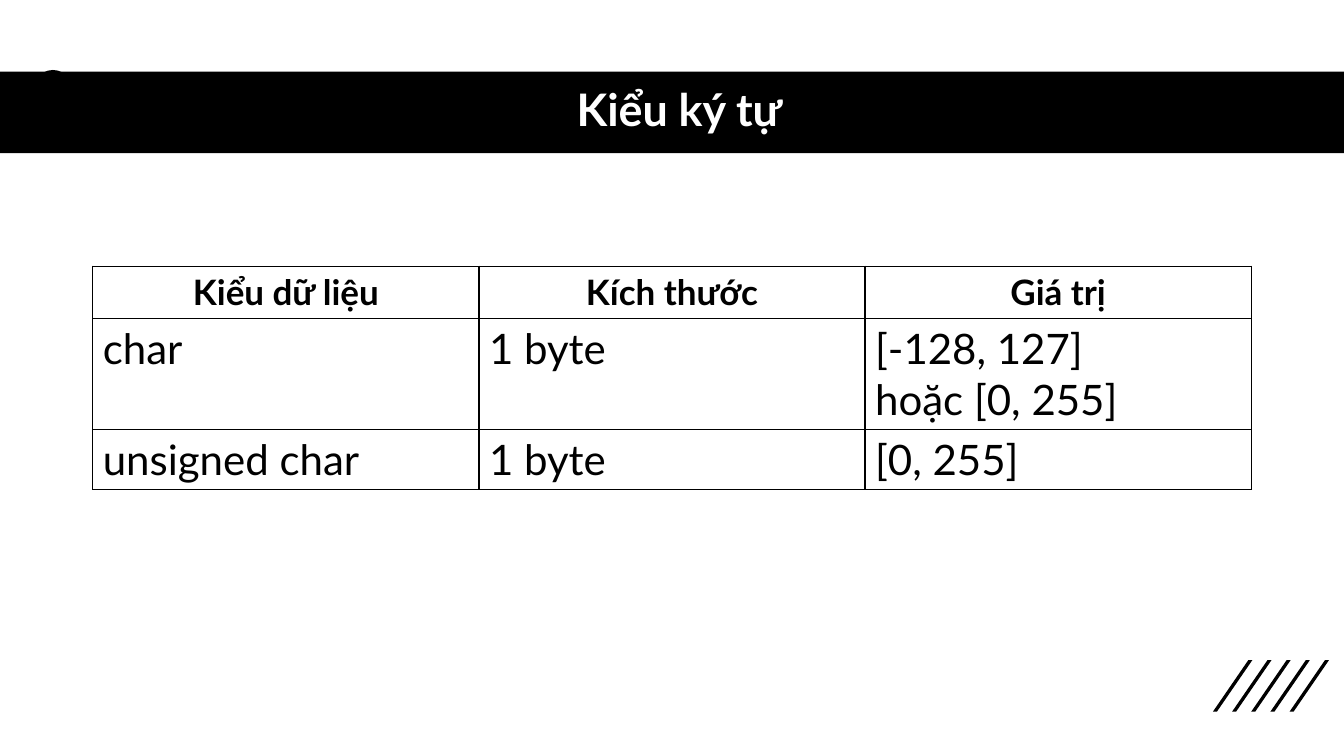
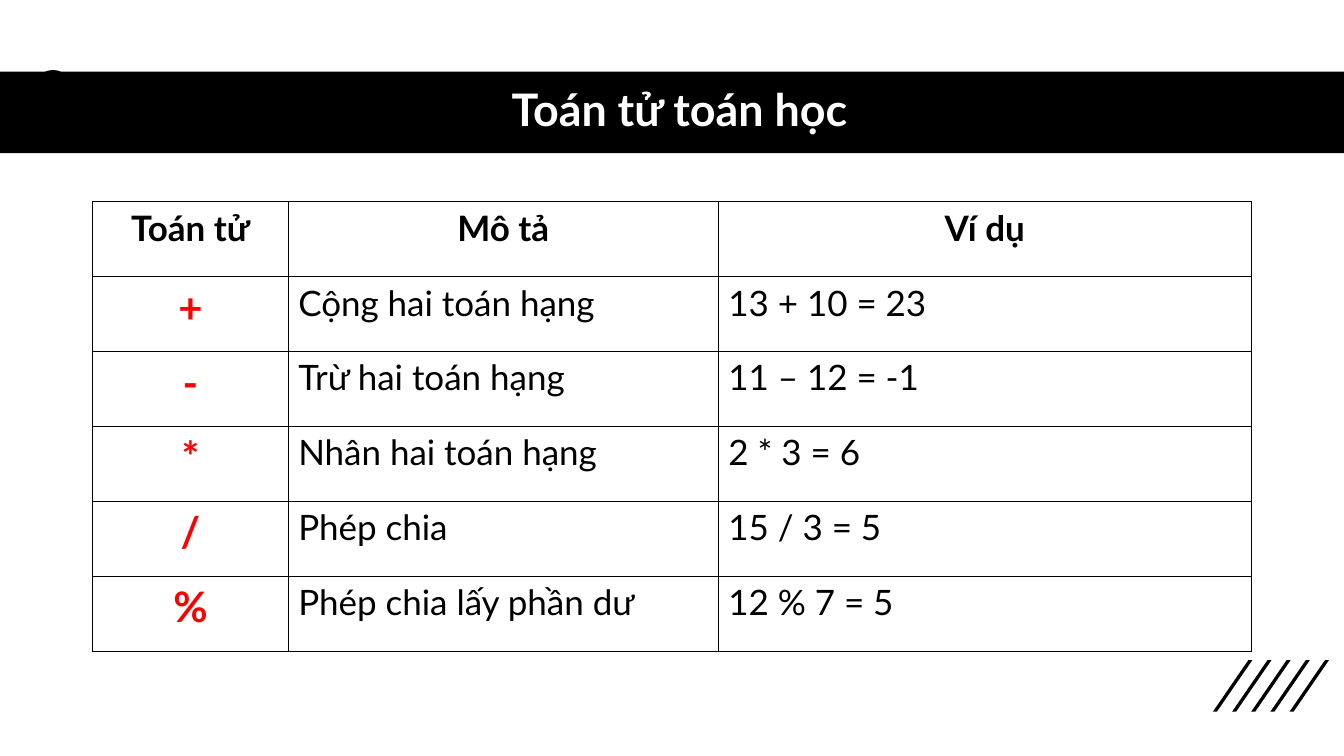
from lxml import etree
from pptx import Presentation
from pptx.dml.color import RGBColor
from pptx.enum import shapes, text
from pptx.oxml.ns import qn
from pptx.util import Inches, Pt

WIDE, HIGH = 13.33, 7.5
FONT = "Lato"
HUES = {"ink": "000000", "paper": "FFFFFF", "mint": "CFF7E1", "sign": "FF0000"}
LEFT, SPAN = 0.92, 11.49
BAND_TOP, BAND_HIGH = 0.71, 0.81

HEAD = {"size": 25, "bold": True, "align": "CENTER"}
BODY = {"size": 25}
LARGE = {"size": 30}
SIGN = {"size": 30, "bold": True, "align": "CENTER", "hue": "sign"}

SLIDES = [
    {
        "title": "Kiểu ký tự",
        "top": 2.64,
        "cols": (1, 1, 1),
        "rows": (0.51, 1.1, 0.59),
        "looks": (LARGE, LARGE, LARGE),
        "cells": [
            ("Kiểu dữ liệu", "Kích thước", "Giá trị"),
            ("char", "1 byte", "[-128, 127]\nhoặc [0, 255]"),
            ("unsigned char", "1 byte", "[0, 255]"),
        ],
    },
    {
        "title": "Toán tử toán học",
        "top": 2,
        "cols": (1.94, 4.27, 5.29),
        "rows": (4.46 / 6,) * 6,
        "looks": (SIGN, BODY, BODY),
        "cells": [
            ("Toán tử", "Mô tả", "Ví dụ"),
            ("+", "Cộng hai toán hạng", "13 + 10 = 23"),
            ("-", "Trừ hai toán hạng", "11 – 12 = -1"),
            ("*", "Nhân hai toán hạng", "2 * 3 = 6"),
            ("/", "Phép chia", "15 / 3 = 5"),
            ("%", "Phép chia lấy phần dư", "12 % 7 = 5"),
        ],
    },
]


def rgb(hue):
    return RGBColor.from_string(HUES[hue])


def write(frame, words, size=25, bold=False, hue="ink", align="LEFT", gap=None):
    """Fill a text frame, one paragraph per line of words."""
    frame.text = words
    frame.word_wrap = True
    for para in frame.paragraphs:
        para.alignment = getattr(text.PP_ALIGN, align)
        para.line_spacing = gap
        for run in para.runs:
            font = run.font
            font.name, font.size, font.bold = FONT, Pt(size), bold
            font.color.rgb = rgb(hue)


def paint(shape, fill, line=None):
    shape.shadow.inherit = False
    shape.fill.solid()
    shape.fill.fore_color.rgb = rgb(fill)
    if line:
        shape.line.color.rgb = rgb("ink")
        shape.line.width = Pt(line)
    else:
        shape.line.fill.background()


def slashes(slide, count=5, left=12.03, top=6.55, step=0.19):
    thick, lean, tall = 0.04, 0.35, 0.51
    for n in range(count):
        x, foot = left + n * step, top + tall
        spots = [(x + thick, foot), (x, foot),
                 (x + lean, top), (x + lean + thick, top)]
        first, *rest = [(Inches(a), Inches(b)) for a, b in spots]
        pen = slide.shapes.build_freeform(*first)
        pen.add_line_segments(rest, close=True)
        paint(pen.convert_to_shape(), "ink")


def frame(slide, title):
    """Draw the parts that every slide shares."""
    slashes(slide)
    kinds = shapes.MSO_SHAPE
    dot = slide.shapes.add_shape(
        kinds.OVAL, *map(Inches, (0.35, BAND_TOP, 0.35, 0.35)))
    paint(dot, "mint", line=2.25)
    band = slide.shapes.add_shape(
        kinds.RECTANGLE, *map(Inches, (0, BAND_TOP, WIDE, BAND_HIGH)))
    paint(band, "ink")
    box = slide.shapes.add_textbox(
        *map(Inches, (0.61, BAND_TOP, 12.26, BAND_HIGH)))
    box.text_frame.vertical_anchor = text.MSO_ANCHOR.MIDDLE
    write(box.text_frame, title, size=32, bold=True, hue="paper",
          align="CENTER", gap=0.9)


def edge(cell, width=1):
    props = cell._tc.get_or_add_tcPr()
    for side in ("lnL", "lnR", "lnT", "lnB"):
        line = etree.SubElement(props, qn("a:" + side), w=str(Pt(width)))
        fill = etree.SubElement(line, qn("a:solidFill"))
        etree.SubElement(fill, qn("a:srgbClr"), val=HUES["ink"])


def grid(slide, top, cols, rows, looks, cells):
    table = slide.shapes.add_table(
        len(rows), len(cols),
        *map(Inches, (LEFT, top, SPAN, sum(rows)))).table
    table.horz_banding = False
    for col, share in zip(table.columns, cols):
        col.width = Inches(SPAN * share / sum(cols))
    for r, (high, line) in enumerate(zip(rows, cells)):
        table.rows[r].height = Inches(high)
        for c, words in enumerate(line):
            cell = table.cell(r, c)
            edge(cell)
            cell.fill.solid()
            cell.fill.fore_color.rgb = rgb("paper")
            write(cell.text_frame, words, **(looks[c] if r else HEAD))


def main():
    deck = Presentation()
    deck.slide_width, deck.slide_height = Inches(WIDE), Inches(HIGH)
    for page in SLIDES:
        slide = deck.slides.add_slide(deck.slide_layouts[6])
        parts = dict(page)
        frame(slide, parts.pop("title"))
        grid(slide, **parts)
    deck.save("out.pptx")


if __name__ == "__main__":
    main()
